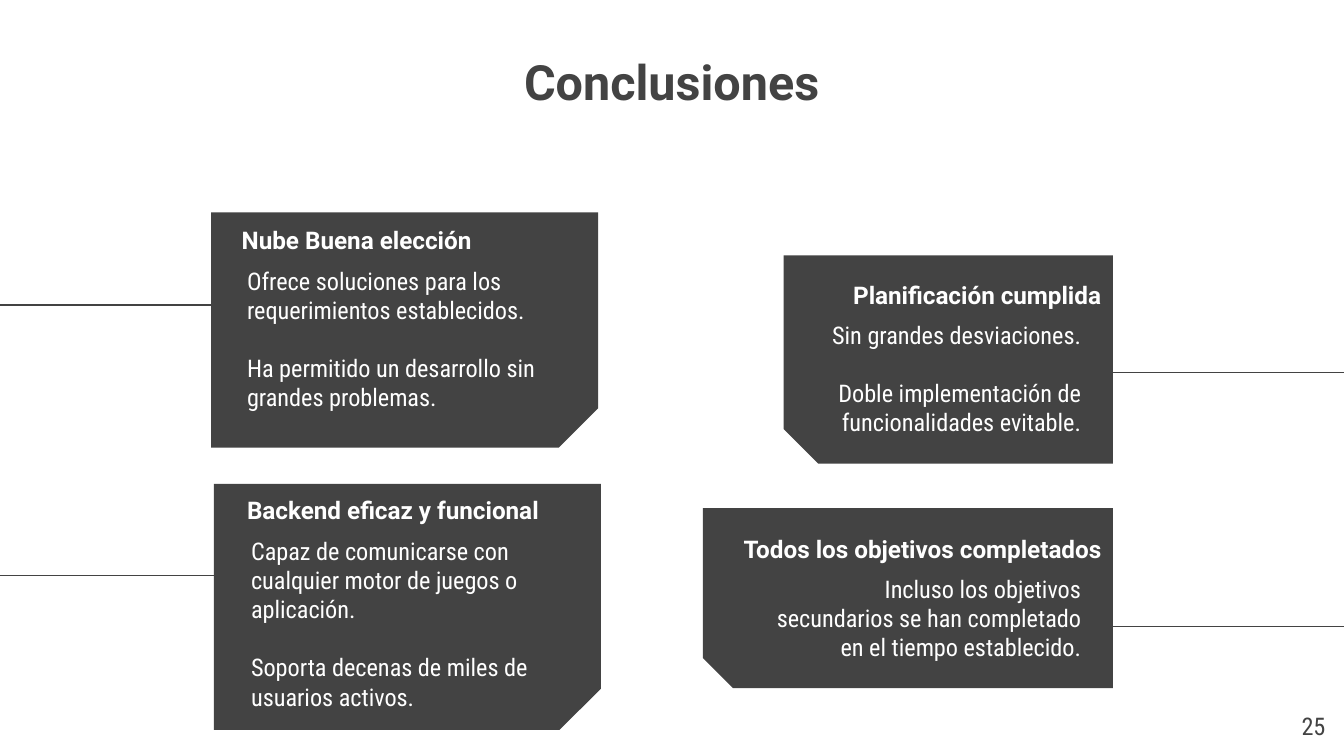
from typing import NamedTuple

from lxml import etree
from pptx import Presentation
from pptx import util as u
from pptx.dml.color import RGBColor
from pptx.enum import shapes, text
from pptx.oxml import ns

COLOURS = {"dark": "434343", "white": "FFFFFF"}
HEADING_FONT = "Roboto"
BODY_FONT = "Roboto Condensed"
SLIDE_WIDTH = 10
SLIDE_HEIGHT = SLIDE_WIDTH * 9 / 16
LEFT, CENTER, RIGHT = text.PP_ALIGN.LEFT, text.PP_ALIGN.CENTER, text.PP_ALIGN.RIGHT
TOP, MIDDLE, BOTTOM = text.MSO_ANCHOR.TOP, text.MSO_ANCHOR.MIDDLE, text.MSO_ANCHOR.BOTTOM


class Box(NamedTuple):
    left: float
    top: float
    width: float
    height: float

    def lengths(self) -> list:
        return [u.Inches(value) for value in self]


class Style(NamedTuple):
    font: str
    size: float
    colour: str
    bold: bool = False
    align: text.PP_ALIGN = LEFT
    anchor: text.MSO_ANCHOR = TOP


class Card(NamedTuple):
    panel: Box
    line_y: float
    heading_box: Box
    heading: str
    body_box: Box
    body: list[str]
    on_left: bool


CARDS = [
    Card(Box(1.57, 1.58, 2.88, 1.75), 2.27,
         Box(1.7, 1.52, 2.08, 0.47), "Nube Buena elección",
         Box(1.74, 1.88, 2.36, 1.27),
         ["Ofrece soluciones para los requerimientos establecidos.",
          "Ha permitido un desarrollo sin grandes problemas."], True),
    Card(Box(1.59, 3.6, 2.88, 1.83), 4.28,
         Box(1.74, 3.53, 2.67, 0.47), "Backend eficaz y funcional",
         Box(1.77, 3.89, 2.53, 1.45),
         ["Capaz de comunicarse con cualquier motor de juegos o aplicación.",
          "Soporta decenas de miles de usuarios activos."], True),
    Card(Box(5.83, 1.9, 2.45, 1.55), 2.77,
         Box(5.93, 1.93, 2.36, 0.47), "Planificación cumplida",
         Box(5.61, 2.28, 2.53, 1.22),
         ["Sin grandes desviaciones.",
          "Doble implementación de funcionalidades evitable."], False),
    Card(Box(5.23, 3.78, 3.05, 1.34), 4.66,
         Box(5.27, 3.82, 3.02, 0.47), "Todos los objetivos completados",
         Box(5.61, 4.17, 2.53, 1.22),
         ["Incluso los objetivos secundarios se han completado en el tiempo establecido."],
         False),
]


def colour(name: str) -> RGBColor:
    return RGBColor.from_string(COLOURS[name])


def add_text(slide, box: Box, paragraphs: list[str], style: Style) -> None:
    frame = slide.shapes.add_textbox(*box.lengths()).text_frame
    frame.word_wrap = True
    frame.vertical_anchor = style.anchor
    frame.margin_left = frame.margin_right = u.Inches(0.1)
    frame.margin_top = frame.margin_bottom = u.Inches(0.1)
    for index, content in enumerate(paragraphs):
        paragraph = frame.add_paragraph() if index else frame.paragraphs[0]
        paragraph.alignment = style.align
        if index:
            paragraph.space_before = u.Pt(15.5)
        run = paragraph.add_run()
        run.text = content
        run.font.name = style.font
        run.font.size = u.Pt(style.size)
        run.font.bold = style.bold
        run.font.color.rgb = colour(style.colour)


def add_panel(slide, card: Card) -> None:
    shape = slide.shapes.add_shape(
        shapes.MSO_SHAPE.SNIP_1_RECTANGLE, *card.panel.lengths())
    shape.adjustments[0] = 0.167
    shape.rotation = 180
    if card.on_left:
        shape._element.spPr.find(ns.qn("a:xfrm")).set("flipH", "1")
    shape.shadow.inherit = False
    shape.fill.solid()
    shape.fill.fore_color.rgb = colour("dark")
    shape.line.fill.background()


def add_side_line(slide, card: Card) -> None:
    slide_edge = 0 if card.on_left else SLIDE_WIDTH
    panel_edge = card.panel.left + (0 if card.on_left else card.panel.width)
    line_y = u.Inches(card.line_y)
    connector = slide.shapes.add_connector(
        shapes.MSO_CONNECTOR.STRAIGHT,
        u.Inches(panel_edge), line_y, u.Inches(slide_edge), line_y)
    connector.line.color.rgb = colour("dark")
    connector.line.width = u.Pt(0.75)
    etree.SubElement(connector._element.spPr, ns.qn("a:effectLst"))


def add_card(slide, card: Card) -> None:
    align = LEFT if card.on_left else RIGHT
    add_panel(slide, card)
    add_side_line(slide, card)
    add_text(slide, card.heading_box, [card.heading],
             Style(HEADING_FONT, 13, "white", True, align, BOTTOM))
    add_text(slide, card.body_box, card.body,
             Style(BODY_FONT, 13, "white", align=align))


def main() -> None:
    presentation = Presentation()
    presentation.slide_width = u.Inches(SLIDE_WIDTH)
    presentation.slide_height = u.Inches(SLIDE_HEIGHT)
    slide = presentation.slides.add_slide(presentation.slide_layouts[6])
    slide.background.fill.solid()
    slide.background.fill.fore_color.rgb = colour("white")
    add_text(slide, Box(0, 0.33, SLIDE_WIDTH, 0.55), ["Conclusiones"],
             Style(HEADING_FONT, 26, "dark", True, CENTER, MIDDLE))
    for card in CARDS:
        add_card(slide, card)
    add_text(slide, Box(9.36, 5.19, 0.6, 0.43), ["25"],
             Style(BODY_FONT, 13, "dark", align=RIGHT))
    presentation.save("out.pptx")


if __name__ == "__main__":
    main()
